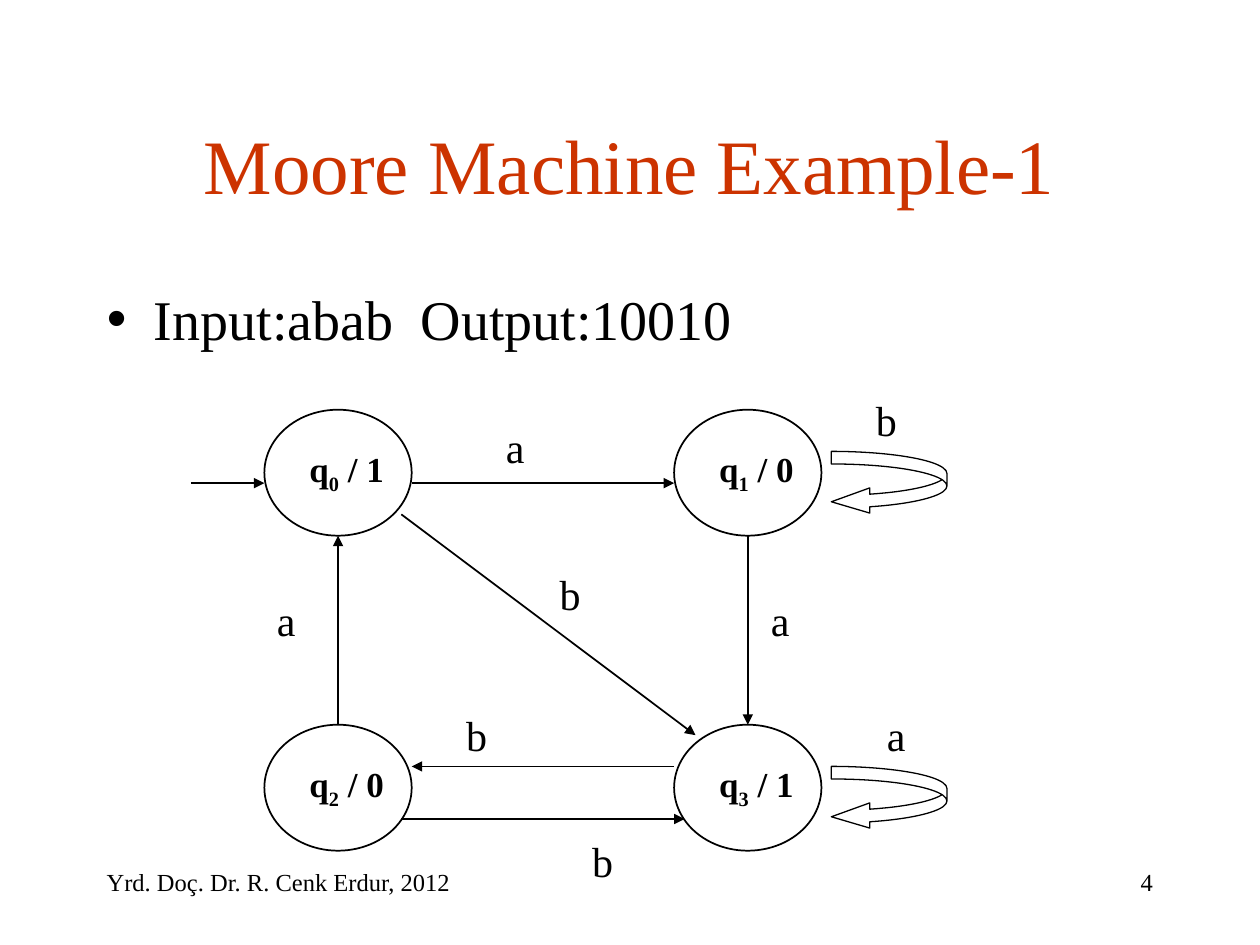
from typing import NamedTuple

from lxml import etree
from pptx import Presentation, util as u
from pptx.dml.color import RGBColor
from pptx.enum import shapes, text
from pptx.oxml import ns

FONT = "Times New Roman"
BLACK, RED = "000000", "CC3300"
STATE_WIDTH, STATE_HEIGHT = 2.97, 2.54
LEFT, RIGHT = 5.33, 13.59
TOP, BOTTOM = 8.26, 14.61


class State(NamedTuple):
    index: str
    output: str
    left: float
    top: float


class Arrow(NamedTuple):
    x1: float
    y1: float
    x2: float
    y2: float


class Label(NamedTuple):
    letter: str
    left: float
    top: float


STATES = [
    State("0", "1", LEFT, TOP),
    State("1", "0", RIGHT, TOP),
    State("2", "0", LEFT, BOTTOM),
    State("3", "1", RIGHT, BOTTOM),
]
LEFT_EDGE, LEFT_MIDDLE = LEFT + STATE_WIDTH, LEFT + STATE_WIDTH / 2
RIGHT_MIDDLE = RIGHT + STATE_WIDTH / 2
TOP_EDGE = TOP + STATE_HEIGHT
ARROWS = [
    Arrow(3.85, 9.74, LEFT, 9.74),
    Arrow(LEFT_EDGE, 9.74, RIGHT, 9.74),
    Arrow(RIGHT_MIDDLE, TOP_EDGE, RIGHT_MIDDLE, BOTTOM),
    Arrow(LEFT_MIDDLE, BOTTOM, LEFT_MIDDLE, TOP_EDGE),
    Arrow(RIGHT, 15.45, LEFT_EDGE, 15.45),
    Arrow(8.09, 16.51, 13.8, 16.51),
    Arrow(8.09, 10.37, 14.02, 14.82),
]
LABELS = [
    Label("a", 9.95, 8.38),
    Label("a", 15.29, 11.85),
    Label("a", 5.33, 11.85),
    Label("a", 17.63, 14.18),
    Label("b", 9.15, 14.18),
    Label("b", 11.69, 16.72),
    Label("b", 11.03, 11.34),
    Label("b", 17.41, 7.83),
]


def color(value: str) -> RGBColor:
    return RGBColor.from_string(value)


def place(shape, left: float, top: float, width: float, height: float) -> None:
    shape.left, shape.top = u.Cm(left), u.Cm(top)
    shape.width, shape.height = u.Cm(width), u.Cm(height)


def style(paragraph, size: float, value: str = BLACK, bold: bool = False) -> None:
    font = paragraph.font
    font.name, font.size, font.bold = FONT, u.Pt(size), bold
    font.color.rgb = color(value)


def add_text(slide, words: str, size: float, left: float, top: float,
             width: float, height: float, wrap: bool = False, bold: bool = False):
    box = slide.shapes.add_textbox(u.Cm(left), u.Cm(top), u.Cm(width), u.Cm(height))
    box.text_frame.word_wrap = wrap
    paragraph = box.text_frame.paragraphs[0]
    paragraph.add_run().text = words
    style(paragraph, size, bold=bold)
    return paragraph


def add_outline(slide, kind, left: float, top: float, width: float,
                height: float, weight: float):
    shape = slide.shapes.add_shape(kind, u.Cm(left), u.Cm(top), u.Cm(width), u.Cm(height))
    shape.shadow.inherit = False
    shape.fill.background()
    shape.line.color.rgb = color(BLACK)
    shape.line.width = u.Pt(weight)
    return shape


def add_state(slide, state: State) -> None:
    add_outline(slide, shapes.MSO_SHAPE.OVAL, state.left, state.top,
                STATE_WIDTH, STATE_HEIGHT, 1)
    paragraph = add_text(slide, "q", 20, state.left + 0.66, state.top + 0.64,
                         2.01, 1.22, bold=True)
    subscript = paragraph.add_run()
    subscript.text = state.index
    subscript.font._element.set("baseline", "-25000")
    paragraph.add_run().text = f" / {state.output}"


def add_loop(slide, top: float) -> None:
    loop = add_outline(slide, shapes.MSO_SHAPE.CURVED_LEFT_ARROW,
                       16.76, top, 2.33, 1.27, 0.75)
    for number, value in enumerate((0.2, 0.4, 0.61)):
        loop.adjustments[number] = value


def add_arrow(slide, arrow: Arrow) -> None:
    connector = slide.shapes.add_connector(
        shapes.MSO_CONNECTOR.STRAIGHT, *(u.Cm(value) for value in arrow))
    connector.line.color.rgb = color(BLACK)
    connector.line.width = u.Pt(1)
    etree.SubElement(connector.line._get_or_add_ln(), ns.qn("a:tailEnd"), type="triangle")
    etree.SubElement(connector._element.spPr, ns.qn("a:effectLst"))


def fill_title(title) -> None:
    place(title, 1.9, 1.7, 21.59, 3.18)
    title.text_frame.text = "Moore Machine Example-1"
    title.text_frame.vertical_anchor = text.MSO_ANCHOR.MIDDLE
    title.text_frame.auto_size = text.MSO_AUTO_SIZE.NONE
    paragraph = title.text_frame.paragraphs[0]
    paragraph.alignment = text.PP_ALIGN.CENTER
    style(paragraph, 44, RED)


def fill_body(body) -> None:
    place(body, 1.9, 5.6, 21.59, 1.8)
    body.text_frame.text = "Input:abab\tOutput:10010"
    body.text_frame.auto_size = text.MSO_AUTO_SIZE.NONE
    paragraph = body.text_frame.paragraphs[0]
    paragraph.space_before = u.Pt(0)
    properties = paragraph._p.get_or_add_pPr()
    properties.set("marL", str(u.Cm(0.95)))
    properties.set("indent", str(-u.Cm(0.95)))
    etree.SubElement(properties, ns.qn("a:buChar"), char="•")
    tabs = etree.SubElement(properties, ns.qn("a:tabLst"))
    etree.SubElement(tabs, ns.qn("a:tab"), pos=str(u.Cm(6.33)), algn="l")
    style(paragraph, 32)


def main() -> None:
    presentation = Presentation()
    presentation.slide_width, presentation.slide_height = u.Cm(25.4), u.Cm(19.05)
    slide = presentation.slides.add_slide(presentation.slide_layouts[1])
    fill_title(slide.shapes.title)
    fill_body(slide.placeholders[1])
    for state in STATES:
        add_state(slide, state)
    for top in (9.1, 15.45):
        add_loop(slide, top)
    for arrow in ARROWS:
        add_arrow(slide, arrow)
    for label in LABELS:
        add_text(slide, label.letter, 24, label.left, label.top, 0.9, 1.27)
    add_text(slide, "Yrd. Doç. Dr. R. Cenk Erdur, 2012", 14, 1.9, 17.36, 14.82, 1.27, wrap=True)
    number = add_text(slide, "4", 14, 18.2, 17.36, 5.29, 1.27, wrap=True)
    number.alignment = text.PP_ALIGN.RIGHT
    presentation.save("out.pptx")


if __name__ == "__main__":
    main()
